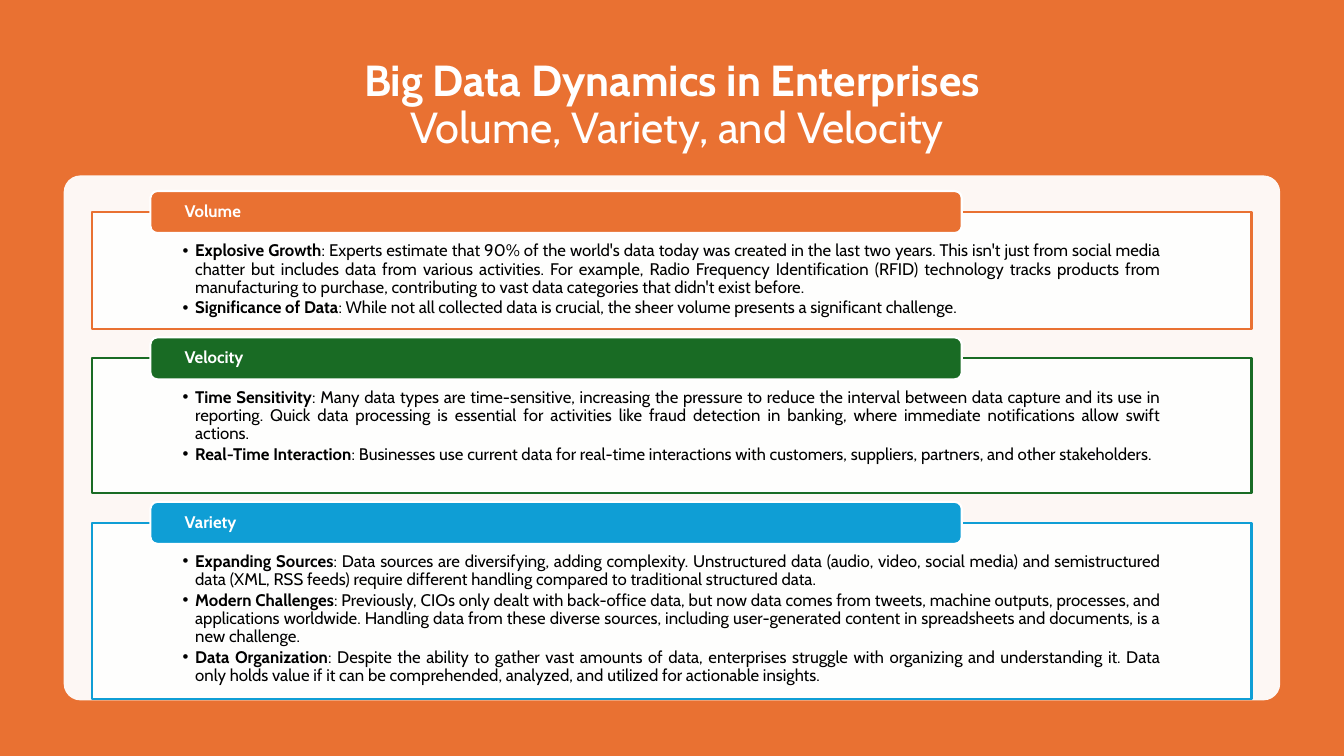
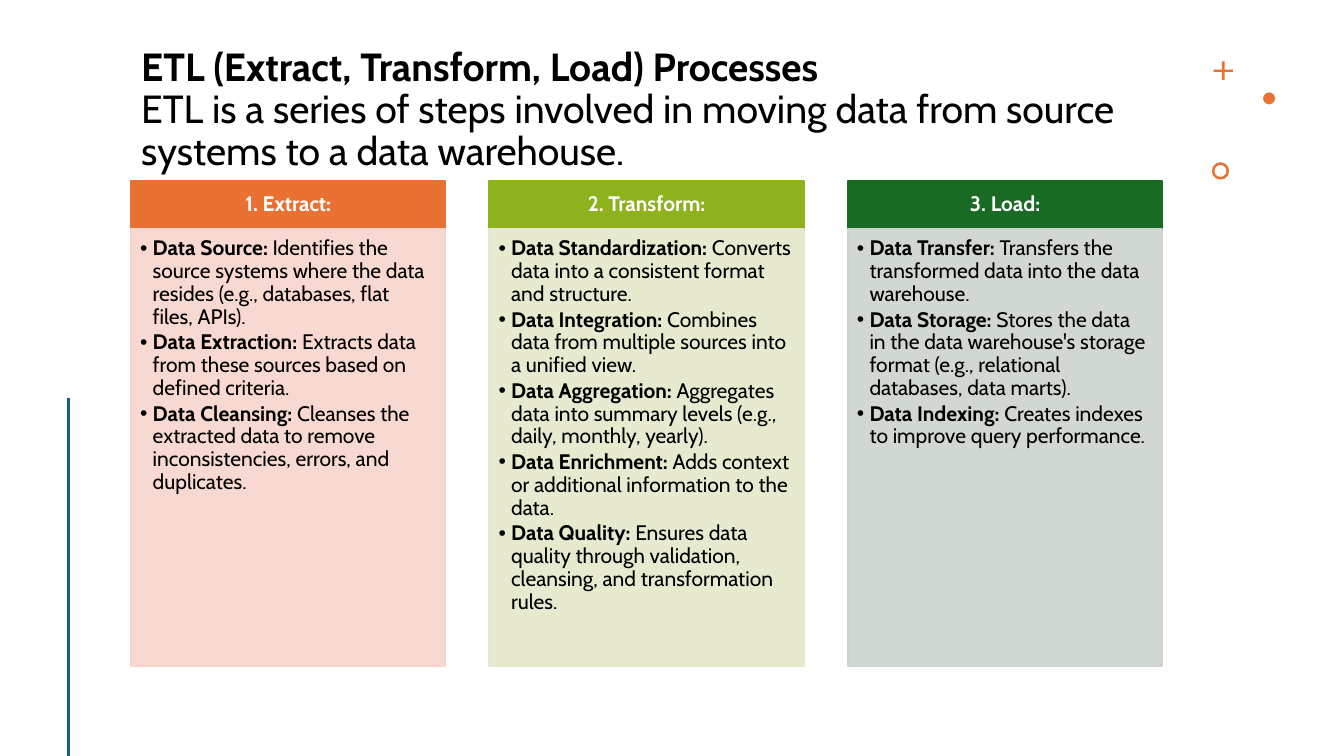
"""Build two slides on big data dynamics and the ETL process."""
from dataclasses import dataclass
from typing import Any, NamedTuple

import lxml.etree
import pptx
import pptx.dml.color
import pptx.enum.shapes
import pptx.enum.text
import pptx.oxml.ns
import pptx.util

Pt = pptx.util.Pt
qn = pptx.oxml.ns.qn
Preset = pptx.enum.shapes.MSO_SHAPE
Align = pptx.enum.text.PP_ALIGN
Anchor = pptx.enum.text.MSO_ANCHOR

FONT = "Cabin"
ORANGE, GREEN, LIME, BLUE, TEAL = "E97132", "196B24", "8EB21E", "0F9ED5", "156082"
WHITE, BLACK = "FFFFFF", "000000"
SLIDE_WIDTH, SLIDE_HEIGHT = 960, 540
COMPARISON_LAYOUT = 4
BORDER = 1.5
LINE_SPACING = 0.9
BULLET_INDENT = 9


class Box(NamedTuple):
    left: float
    top: float
    width: float
    height: float


class Insets(NamedTuple):
    left: float
    top: float
    right: float
    bottom: float


class Point(NamedTuple):
    term: str
    detail: str


@dataclass(frozen=True)
class TextStyle:
    size: float
    color: str
    align: Any
    anchor: Any
    insets: Insets


@dataclass(frozen=True)
class Section:
    heading: str
    color: str
    points: tuple[Point, ...]
    tint: str = WHITE
    height: float = 0


@dataclass(frozen=True)
class Ornament:
    preset: Any
    box: Box
    adjustment: float | None = None


TITLE_INSETS = Insets(7.2, 3.6, 7.2, 3.6)
COVER_TITLE = TextStyle(31, WHITE, Align.CENTER, Anchor.MIDDLE, TITLE_INSETS)
STEPS_TITLE = TextStyle(28, BLACK, Align.LEFT, Anchor.TOP, TITLE_INSETS)
TAB = TextStyle(12, WHITE, Align.JUSTIFY, Anchor.MIDDLE, Insets(23, 0, 23, 0))
CARD = TextStyle(12, BLACK, Align.JUSTIFY, Anchor.TOP, Insets(64.4, 21.6, 64.4, 6.5))
STEP_HEADER = TextStyle(15, WHITE, Align.CENTER, Anchor.MIDDLE, Insets(8.6, 5, 8.6, 5))
STEP_LIST = TextStyle(15, BLACK, Align.LEFT, Anchor.TOP, Insets(6.5, 6.5, 8.6, 9.4))

DYNAMICS = (
    Section("Volume", ORANGE, (
        Point("Explosive Growth", ": Experts estimate that 90% of the world's data today was created in the "
              "last two years. This isn't just from social media chatter but includes data from various "
              "activities. For example, Radio Frequency Identification (RFID) technology tracks products "
              "from manufacturing to purchase, contributing to vast data categories that didn't exist before."),
        Point("Significance of Data", ": While not all collected data is crucial, the sheer volume presents "
              "a significant challenge."),
    ), height=83.5),
    Section("Velocity", GREEN, (
        Point("Time Sensitivity", ": Many data types are time-sensitive, increasing the pressure to reduce "
              "the interval between data capture and its use in reporting. Quick data processing is essential "
              "for activities like fraud detection in banking, where immediate notifications allow swift "
              "actions."),
        Point("Real-Time Interaction", ": Businesses use current data for real-time interactions with "
              "customers, suppliers, partners, and other stakeholders."),
    ), height=96.5),
    Section("Variety", BLUE, (
        Point("Expanding Sources", ": Data sources are diversifying, adding complexity. Unstructured data "
              "(audio, video, social media) and semistructured data (XML, RSS feeds) require different "
              "handling compared to traditional structured data."),
        Point("Modern Challenges", ": Previously, CIOs only dealt with back-office data, but now data comes "
              "from tweets, machine outputs, processes, and applications worldwide. Handling data from these "
              "diverse sources, including user-generated content in spreadsheets and documents, is a new "
              "challenge."),
        Point("Data Organization", ": Despite the ability to gather vast amounts of data, enterprises "
              "struggle with organizing and understanding it. Data only holds value if it can be "
              "comprehended, analyzed, and utilized for actionable insights."),
    ), height=126),
)

STEPS = (
    Section("1. Extract:", ORANGE, (
        Point("Data Source:", " Identifies the source systems where the data resides (e.g., databases, "
              "flat files, APIs)."),
        Point("Data Extraction:", " Extracts data from these sources based on defined criteria."),
        Point("Data Cleansing:", " Cleanses the extracted data to remove inconsistencies, errors, and "
              "duplicates."),
    ), tint="F7D5CE"),
    Section("2. Transform:", LIME, (
        Point("Data Standardization:", " Converts data into a consistent format and structure."),
        Point("Data Integration:", " Combines data from multiple sources into a unified view."),
        Point("Data Aggregation:", " Aggregates data into summary levels (e.g., daily, monthly, yearly)."),
        Point("Data Enrichment:", " Adds context or additional information to the data."),
        Point("Data Quality:", " Ensures data quality through validation, cleansing, and transformation "
              "rules."),
    ), tint="E5E8CA"),
    Section("3. Load:", GREEN, (
        Point("Data Transfer:", " Transfers the transformed data into the data warehouse."),
        Point("Data Storage:", " Stores the data in the data warehouse's storage format (e.g., relational "
              "databases, data marts)."),
        Point("Data Indexing:", " Creates indexes to improve query performance."),
    ), tint="CCD4CD"),
)

ORNAMENTS = (
    Ornament(Preset.CROSS, Box(866.9, 43.9, 13.7, 13.2), 0.44),
    Ornament(Preset.OVAL, Box(902.2, 66, 8.6, 8.6)),
    Ornament(Preset.DONUT, Box(865.6, 115.9, 12.4, 12.4), 0.15),
)


def rgb(color: str) -> pptx.dml.color.RGBColor:
    """Turn a hex string into a colour."""
    return pptx.dml.color.RGBColor.from_string(color)


def place(shape: Any, box: Box) -> None:
    """Move and size a shape."""
    shape.left, shape.top, shape.width, shape.height = (Pt(length) for length in box)


def paint(shape: Any, fill: str, line: str | None = None, opacity: int = 100) -> None:
    """Give a shape its fill, outline and opacity, without a shadow."""
    shape.shadow.inherit = False
    shape.fill.solid()
    shape.fill.fore_color.rgb = rgb(fill)
    if opacity < 100:
        tone = shape.element.spPr.find(f"{qn('a:solidFill')}/{qn('a:srgbClr')}")
        lxml.etree.SubElement(tone, qn("a:alpha"), val=str(opacity * 1000))
    if line:
        shape.line.color.rgb = rgb(line)
        shape.line.width = Pt(BORDER)
    else:
        shape.line.fill.background()


def set_frame(shape: Any, style: TextStyle) -> Any:
    """Format the text frame of a shape and return it."""
    frame = shape.text_frame
    frame.word_wrap = True
    frame.auto_size = pptx.enum.text.MSO_AUTO_SIZE.NONE
    frame.vertical_anchor = style.anchor
    frame.margin_left, frame.margin_top, frame.margin_right, frame.margin_bottom = (
        Pt(inset) for inset in style.insets)
    return frame


def set_paragraph(paragraph: Any, style: TextStyle, after: float = 0) -> None:
    """Set the alignment and spacing of a paragraph."""
    paragraph.alignment = style.align
    paragraph.line_spacing = LINE_SPACING
    paragraph.space_before = Pt(0)
    paragraph.space_after = Pt(after)


def add_run(paragraph: Any, text: str, style: TextStyle, bold: bool) -> None:
    """Append one formatted run."""
    run = paragraph.add_run()
    run.text = text
    run.font.name = FONT
    run.font.size = Pt(style.size)
    run.font.bold = bold
    run.font.color.rgb = rgb(style.color)


def add_bullet(paragraph: Any) -> None:
    """Give a paragraph a hanging bullet."""
    properties = paragraph._p.get_or_add_pPr()
    indent = Pt(BULLET_INDENT)
    properties.set("marL", str(indent))
    properties.set("indent", str(-indent))
    lxml.etree.SubElement(properties, qn("a:buFont"), typeface="Arial")
    lxml.etree.SubElement(properties, qn("a:buChar"), char="•")


def write_title(slide: Any, box: Box, style: TextStyle, heading: str, subheading: str) -> None:
    """Fill the title with a bold line and a regular one."""
    place(slide.shapes.title, box)
    paragraph = set_frame(slide.shapes.title, style).paragraphs[0]
    set_paragraph(paragraph, style)
    add_run(paragraph, heading, style, True)
    paragraph.add_line_break()
    add_run(paragraph, subheading, style, False)


def write_list(slide: Any, body: Any, box: Box, section: Section, line: str, style: TextStyle) -> None:
    """Turn a body placeholder into a filled list, in front of what is drawn so far."""
    place(body, box)
    paint(body, section.tint, line, 90)
    slide.shapes.element.append(body.element)
    frame = set_frame(body, style)
    for index, point in enumerate(section.points):
        paragraph = frame.add_paragraph() if index else frame.paragraphs[0]
        add_bullet(paragraph)
        set_paragraph(paragraph, style, style.size * 0.15)
        add_run(paragraph, point.term, style, True)
        add_run(paragraph, point.detail, style, False)


def add_block(slide: Any, preset: Any, box: Box, fill: str, line: str | None = None, opacity: int = 100) -> Any:
    """Draw a preset shape."""
    block = slide.shapes.add_shape(preset, *(Pt(length) for length in box))
    paint(block, fill, line, opacity)
    return block


def add_heading(slide: Any, preset: Any, box: Box, section: Section, line: str, style: TextStyle) -> None:
    """Draw a section heading on its colour."""
    heading = add_block(slide, preset, box, section.color, line)
    paragraph = set_frame(heading, style).paragraphs[0]
    set_paragraph(paragraph, style)
    add_run(paragraph, section.heading, style, True)


def add_slide(deck: Any, background: str) -> tuple[Any, list[Any]]:
    """Add a slide and return it with its three list placeholders."""
    slide = deck.slides.add_slide(deck.slide_layouts[COMPARISON_LAYOUT])
    slide.background.fill.solid()
    slide.background.fill.fore_color.rgb = rgb(background)
    *bodies, spare = list(slide.placeholders)[1:]
    spare.element.getparent().remove(spare.element)
    return slide, bodies


def build_dynamics(deck: Any) -> None:
    """Build the slide on volume, velocity and variety."""
    slide, bodies = add_slide(deck, ORANGE)
    write_title(slide, Box(66, 36, 828, 79.2), COVER_TITLE,
                "Big Data Dynamics in Enterprises", " Volume, Variety, and Velocity")
    panel = add_block(slide, Preset.ROUNDED_RECTANGLE, Box(45.5, 125.3, 869, 375), WHITE, opacity=95)
    panel.adjustments[0] = 0.032
    top, gap, tab_height = 151.5, 21, 30
    for section, body in zip(DYNAMICS, bodies):
        write_list(slide, body, Box(66, top, 828, section.height), section, section.color, CARD)
        add_heading(slide, Preset.ROUNDED_RECTANGLE, Box(107.4, top - tab_height / 2, 579.6, tab_height),
                    section, WHITE, TAB)
        top += section.height + gap


def build_steps(deck: Any) -> None:
    """Build the slide on the three ETL steps."""
    slide, bodies = add_slide(deck, WHITE)
    write_title(slide, Box(93.6, 30.2, 736.6, 94.3), STEPS_TITLE, "ETL (Extract, Transform, Load) Processes",
                "ETL is a series of steps involved in moving data from source systems to a data warehouse.")
    for ornament in ORNAMENTS:
        mark = add_block(slide, ornament.preset, ornament.box, ORANGE)
        if ornament.adjustment is not None:
            mark.adjustments[0] = ornament.adjustment
    rule = slide.shapes.add_connector(pptx.enum.shapes.MSO_CONNECTOR.STRAIGHT,
                                      Pt(49), Pt(284), Pt(49), Pt(SLIDE_HEIGHT))
    rule.line.color.rgb = rgb(TEAL)
    rule.line.width = Pt(2)
    lxml.etree.SubElement(rule.element.spPr, qn("a:effectLst"))
    top, header_height, width, pitch = 129.6, 33.8, 224.6, 256
    for index, (section, body) in enumerate(zip(STEPS, bodies)):
        left = 93.6 + index * pitch
        add_heading(slide, Preset.RECTANGLE, Box(left, top, width, header_height),
                    section, section.color, STEP_HEADER)
        write_list(slide, body, Box(left, top + header_height, width, 312.5), section, section.tint, STEP_LIST)


def main() -> None:
    """Build and save the deck."""
    deck = pptx.Presentation()
    deck.slide_width, deck.slide_height = Pt(SLIDE_WIDTH), Pt(SLIDE_HEIGHT)
    build_dynamics(deck)
    build_steps(deck)
    deck.save("out.pptx")


if __name__ == "__main__":
    main()
